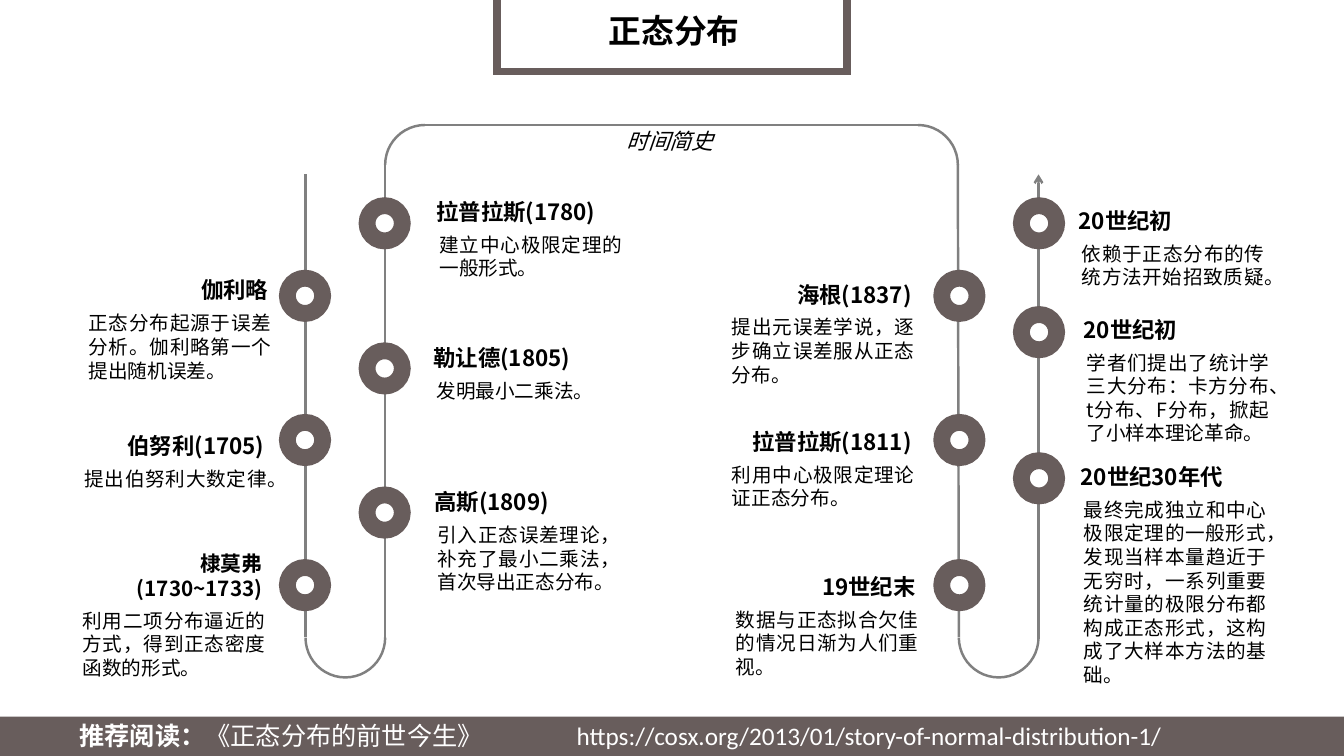
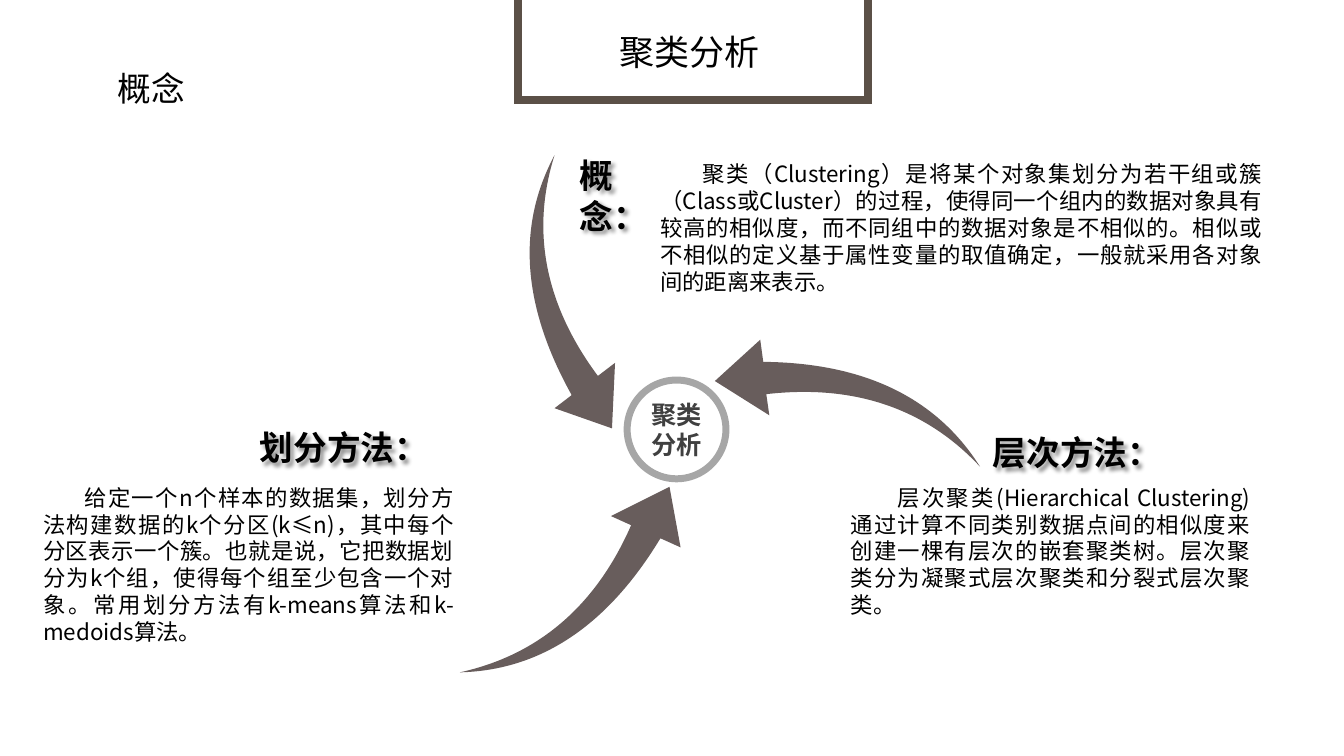
from math import cos, radians, sin

from lxml import etree
from pptx import Presentation
from pptx.dml.color import RGBColor
from pptx.enum.shapes import MSO_CONNECTOR, MSO_SHAPE
from pptx.enum.text import MSO_ANCHOR, MSO_AUTO_SIZE, PP_ALIGN
from pptx.oxml import parse_xml
from pptx.oxml.ns import nsdecls, qn
from pptx.util import Inches, Pt

COLORS = {"main": "685D5C", "brown": "5B5047", "track": "808080", "ring": "A6A6A6",
          "core": "404040", "black": "000000", "white": "FFFFFF"}
CJK = "Noto Sans CJK SC"
LEFT, CENTER, RIGHT, JUSTIFY = PP_ALIGN.LEFT, PP_ALIGN.CENTER, PP_ALIGN.RIGHT, PP_ALIGN.JUSTIFY

TRACKS = [
    ((3.03, 6.32), (3.03, 1.73)),
    ((3.82, 6.34), (3.82, 1.62)),
    ((9.51, 6.32), (9.5, 1.63)),
    ((10.3, 6.34), (10.3, 1.73)),
]
BEND, BEND_TOP, ARCH_TOP = 0.79, 5.93, 1.24
NODE_SIZE = 0.35
COLUMNS = [
    (2.85, RIGHT, [
        (2.76, 0.75, 2.55, "伽利略", "正态分布起源于误差分析。伽利略第一个提出随机误差。"),
        (4.19, 0.71, 4.09, "伯努利(1705)", "提出伯努利大数定律。"),
        (5.63, 0.69, 5.5, "棣莫弗(1730~1733)", "利用二项分布逼近的方式，得到正态密度函数的形式。"),
    ]),
    (3.64, LEFT, [
        (2.04, 4.23, 1.77, "拉普拉斯(1780)", "建立中心极限定理的一般形式。"),
        (3.48, 4.2, 3.22, "勒让德(1805)", "发明最小二乘法。"),
        (4.91, 4.21, 4.65, "高斯(1809)", "引入正态误差理论，补充了最小二乘法，首次导出正态分布。"),
    ]),
    (9.34, RIGHT, [
        (2.76, 7.13, 2.59, "海根(1837)", "提出元误差学说，逐步确立误差服从正态分布。"),
        (4.19, 7.13, 4.05, "拉普拉斯(1811)", "利用中心极限定理论证正态分布。"),
        (5.63, 7.17, 5.49, "19世纪末", "数据与正态拟合欠佳的情况日渐为人们重视。"),
    ]),
    (10.13, LEFT, [
        (2.04, 10.6, 1.86, "20世纪初", "依赖于正态分布的传统方法开始招致质疑。"),
        (3.12, 10.65, 2.94, "20世纪初",
         "学者们提出了统计学三大分布：卡方分布、t分布、F分布，掀起了小样本理论革命。"),
        (4.57, 10.62, 4.4, "20世纪30年代",
         "最终完成独立和中心极限定理的一般形式，发现当样本量趋近于无穷时，一系列重要"
         "统计量的极限分布都构成正态形式，这构成了大样本方法的基础。"),
    ]),
]

TOPICS = [
    ("概念：", (5.65, 1.49, 0.79, 0.91), (6.45, 1.54, 6.17, 1.56), 0.42,
     "聚类（Clustering）是将某个对象集划分为若干组或簇（Class或Cluster）的过程，使得同一个组内的"
     "数据对象具有较高的相似度，而不同组中的数据对象是不相似的。相似或不相似的定义基于属性变量的"
     "取值确定，一般就采用各对象间的距离来表示。"),
    ("划分方法：", (2.48, 4.19, 2.05, 0.5), (0.33, 4.75, 4.27, 1.31), 0.41,
     "给定一个n个样本的数据集，划分方法构建数据的k个分区(k≤n)，其中每个分区表示一个簇。也就是说，"
     "它把数据划分为k个组，使得每个组至少包含一个对象。常用划分方法有k-means算法和k-medoids算法。"),
    ("层次方法：", (9.75, 4.24, 2.01, 0.5), (8.34, 4.75, 4.16, 1.45), 0.46,
     "层次聚类(Hierarchical Clustering) 通过计算不同类别数据点间的相似度来创建一棵有层次的嵌套"
     "聚类树。层次聚类分为凝聚式层次聚类和分裂式层次聚类。"),
]
SWOOSHES = [
    {"place": (4.55, 4.94, 2.38, 1.72), "rotation": 287.4,
     "tail": (4.56, 6.67), "outer": [(5.37, 6.65), (6.03, 6.2), (6.55, 5.34)],
     "head": [(6.75, 5.43), (6.64, 4.83), (6.06, 5.12), (6.26, 5.21)],
     "inner": [(5.91, 6.01), (5.34, 6.5)]},
    {"place": (7.18, 3.21, 2.38, 1.71), "rotation": 167,
     "tail": (9.72, 4.63), "outer": [(9.29, 3.95), (8.58, 3.6), (7.57, 3.59)],
     "head": [(7.54, 3.37), (7.09, 3.78), (7.63, 4.12), (7.6, 3.91)],
     "inner": [(8.47, 3.81), (9.18, 4.05)]},
    {"place": (4.49, 2.13, 2.38, 1.71), "rotation": 47,
     "tail": (5.5, 1.54), "outer": [(5.12, 2.25), (5.18, 3.04), (5.67, 3.92)],
     "head": [(5.5, 4.05), (6.07, 4.25), (6.1, 3.6), (5.93, 3.73)],
     "inner": [(5.41, 3.03), (5.26, 2.3)]},
]
SHADOW = (f'<a:effectLst {nsdecls("a")}><a:outerShdw blurRad="38100" dist="38100" dir="2700000">'
          '<a:srgbClr val="000000"><a:alpha val="43000"/></a:srgbClr></a:outerShdw></a:effectLst>')


def rgb(name):
    return RGBColor.from_string(COLORS[name])


def lengths(place):
    return [Inches(value) for value in place]


def write(box, text, size=14, font=CJK, color="black", bold=False, italic=False, align=LEFT,
          anchor=MSO_ANCHOR.TOP, wrap=True, indent=0, grow=False):
    frame = box.text_frame
    frame.word_wrap = wrap
    frame.vertical_anchor = anchor
    frame.auto_size = MSO_AUTO_SIZE.SHAPE_TO_FIT_TEXT if grow else MSO_AUTO_SIZE.NONE
    para = frame.paragraphs[0]
    para.alignment = align
    if indent:
        para._p.get_or_add_pPr().set("indent", str(Inches(indent)))
    parts = [(text, bold)] if isinstance(text, str) else text
    for words, heavy in parts:
        span = para.add_run()
        span.text = words
        span.font.size = Pt(size)
        span.font.bold = heavy
        span.font.italic = italic
        span.font.color.rgb = rgb(color)
        span.font.name = font
        etree.SubElement(span._r.get_or_add_rPr(), qn("a:ea")).set("typeface", CJK)
    return box


def add_text(page, place, text, **style):
    return write(page.shapes.add_textbox(*lengths(place)), text, **style)


def paint(shape, fill=None, line=None, width=1):
    shape.shadow.inherit = False
    if fill:
        shape.fill.solid()
        shape.fill.fore_color.rgb = rgb(fill)
    else:
        shape.fill.background()
    if line:
        shape.line.color.rgb = rgb(line)
        shape.line.width = Pt(width)
        etree.SubElement(shape.line._get_or_add_ln(), qn("a:miter")).set("lim", "800000")
    else:
        shape.line.fill.background()
    return shape


def add_shape(page, kind, place, **style):
    return paint(page.shapes.add_shape(kind, *lengths(place)), **style)


def add_track(page, start, end, arrow=False):
    track = page.shapes.add_connector(MSO_CONNECTOR.STRAIGHT, *lengths(start + end))
    track.line.color.rgb = rgb("track")
    track.line.width = Pt(1.75)
    if arrow:
        etree.SubElement(track.line._get_or_add_ln(), qn("a:tailEnd")).set("type", "arrow")
    etree.SubElement(track._element.spPr, qn("a:effectLst"))


def add_bend(page, left, top, start, rotation):
    bend = add_shape(page, MSO_SHAPE.ARC, (left, top, BEND, BEND), line="track", width=1.75)
    bend.adjustments[0] = start
    bend.rotation = rotation


def turn_back(point, place, rotation):
    left, top, width, height = place
    center_x, center_y = left + width / 2, top + height / 2
    x, y = point[0] - center_x, point[1] - center_y
    angle = radians(-rotation)
    return center_x + x * cos(angle) - y * sin(angle), center_y + x * sin(angle) + y * cos(angle)


def make_cubic(segments):
    cubic = etree.Element(qn("a:cubicBezTo"))
    segments[0].addprevious(cubic)
    for segment in segments:
        cubic.append(segment[0])
        segment.getparent().remove(segment)


def add_swoosh(page, place, rotation, tail, outer, head, inner):
    points = [lengths(turn_back(point, place, rotation)) for point in [tail, *outer, *head, *inner, tail]]
    builder = page.shapes.build_freeform(*points[0], scale=1)
    builder.add_line_segments(points[1:], close=True)
    swoosh = paint(builder.convert_to_shape(), fill="main")
    left, top, width, height = lengths(place)
    outline = next(swoosh._element.iter(qn("a:path")))
    for point in outline.iter(qn("a:pt")):
        point.set("x", str(int(point.get("x")) + swoosh.left - left))
        point.set("y", str(int(point.get("y")) + swoosh.top - top))
    outline.set("w", str(width))
    outline.set("h", str(height))
    segments = outline.findall(qn("a:lnTo"))
    make_cubic(segments[:3])
    make_cubic(segments[7:10])
    swoosh.left, swoosh.top, swoosh.width, swoosh.height = left, top, width, height
    swoosh.rotation = rotation


def add_page(deck, title, title_place, frame_place, frame_color, **style):
    page = deck.slides.add_slide(deck.slide_layouts[5])
    heading = page.shapes.title
    heading.left, heading.top, heading.width, heading.height = lengths(title_place)
    write(heading, title, align=CENTER, anchor=MSO_ANCHOR.MIDDLE, **style)
    add_shape(page, MSO_SHAPE.RECTANGLE, frame_place, line=frame_color, width=5.5)
    return page


def build_history(deck):
    page = add_page(deck, "正态分布", (4.95, 0, 3.47, 0.6), (4.93, -0.84, 3.47, 1.55), "main",
                    size=23.4, bold=True)
    for start, end in TRACKS:
        add_track(page, start, end, arrow=end == TRACKS[-1][1])
    track_x = [start[0] for start, end in TRACKS]
    for x in track_x[::2]:
        add_bend(page, x, BEND_TOP, 108, 180)
    add_bend(page, track_x[1], ARCH_TOP, 162, 270)
    add_bend(page, track_x[2] - BEND - 0.01, ARCH_TOP, 162, 0)
    add_track(page, (9.12, ARCH_TOP), (4.21, ARCH_TOP))
    add_text(page, (4.91, 1.15, 3.47, 0.5), "时间简史", size=15.6, italic=True, align=CENTER,
             anchor=MSO_ANCHOR.MIDDLE)

    for node_left, align, events in COLUMNS:
        for node_top, left, top, name, detail in events:
            add_shape(page, MSO_SHAPE.OVAL, (node_left, node_top, NODE_SIZE, NODE_SIZE),
                      fill="white", line="main", width=12)
            add_text(page, (left, top, 2.01, 0.51), name, size=14.8 if "~" in name else 16,
                     bold=True, align=align, anchor=MSO_ANCHOR.BOTTOM)
            add_text(page, (left + 0.03, top + 0.49, 2.01, 0.34), detail, align=JUSTIFY, grow=True)

    add_shape(page, MSO_SHAPE.RECTANGLE, (0, 7.11, 13.33, 0.4), fill="main")
    footer = {"size": 18, "font": "Calibri", "color": "white", "wrap": False, "grow": True}
    add_text(page, (0.69, 7.1, 4.24, 0.4), [("推荐阅读：", True), ("《正态分布的前世今生》", False)], **footer)
    add_text(page, (5.62, 7.1, 6.08, 0.4), "https://cosx.org/2013/01/story-of-normal-distribution-1/", **footer)


def build_clustering(deck):
    page = add_page(deck, "聚类分析", (5.23, 0.01, 3.22, 1), (5.14, -0.72, 3.47, 1.71), "brown", size=25)
    add_text(page, (1.07, 0.62, 0.93, 0.5), "概念", size=24, grow=True)
    for swoosh in SWOOSHES:
        add_swoosh(page, **swoosh)
    core = add_shape(page, MSO_SHAPE.OVAL, (6.22, 3.77, 0.98, 0.98), fill="white", line="ring", width=5)
    frame = core.text_frame
    frame.margin_left = frame.margin_right = frame.margin_top = frame.margin_bottom = 0
    write(core, "聚类分析", size=18, color="core", bold=True, align=CENTER, anchor=MSO_ANCHOR.MIDDLE)
    for name, name_place, detail_place, indent, detail in TOPICS:
        label = add_text(page, name_place, name, size=24, bold=True, grow=True)
        label._element.spPr.append(parse_xml(SHADOW))
        add_text(page, detail_place, detail, size=16, align=JUSTIFY, indent=indent)


def main():
    deck = Presentation()
    deck.slide_width, deck.slide_height = Inches(13.33), Inches(7.5)
    build_history(deck)
    build_clustering(deck)
    deck.save("out.pptx")


if __name__ == "__main__":
    main()
